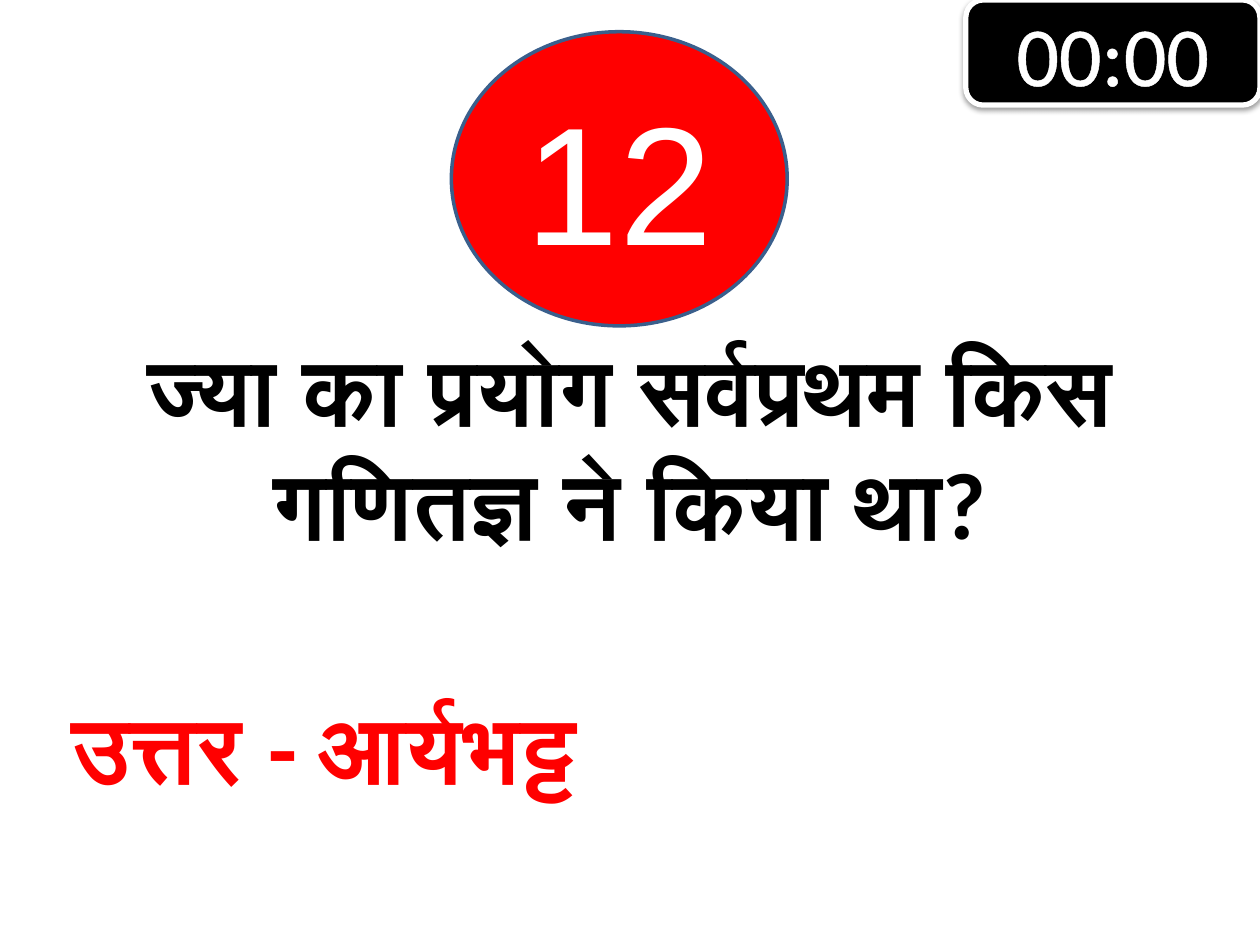
import pptx
import pptx.util
import pptx.dml.color
import pptx.enum.shapes
import pptx.enum.text
import pptx.oxml
import pptx.oxml.ns
import lxml.etree

Cm, Pt = pptx.util.Cm, pptx.util.Pt
Kind = pptx.enum.shapes.MSO_SHAPE
Text = pptx.enum.text
qn = pptx.oxml.ns.qn

WIDE, HIGH = 25.4, 19.05
RED, BLACK, WHITE = "FF0000", "000000", "FFFFFF"

QUERY = ("ज्या का प्रयोग सर्वप्रथम किस गणितज्ञ ने किया था?", (0, 6.55, WIDE, 4.88),
         {"size": Pt(54), "name": "Calibri", "bold": True}, BLACK, 1.42)
REPLY = ("उत्तर - आर्यभट्ट", (0, 13.77, 13.06, 2.57),
         {"size": Pt(54), "name": "Calibri", "bold": True}, RED, 1.42)
BADGE = ("12", (9.1, 0.64, 6.77, 5.93),
         {"size": Pt(96), "name": "Arial"}, WHITE, 0)
TIMER = ("00:00", (WIDE - 5.93, 0, 5.93, 2.12),
         {"size": Pt(48), "name": "Calibri"}, WHITE, 1.45)


def tint(part, hue):
    part.solid()
    part.fore_color.rgb = pptx.dml.color.RGBColor.from_string(hue)


def edge(font, hue, thick):
    line = lxml.etree.Element(qn("a:ln"), w=str(int(Pt(thick))))
    fill = lxml.etree.SubElement(line, qn("a:solidFill"))
    lxml.etree.SubElement(fill, qn("a:srgbClr"), val=hue)
    font._element.insert(0, line)


def write(shape, item, anchor, wrap=True, fit=Text.MSO_AUTO_SIZE.NONE):
    words, box, style, hue, thick = item
    for key, val in zip(("left", "top", "width", "height"), box):
        setattr(shape, key, Cm(val))
    frame = shape.text_frame
    form = {"word_wrap": wrap, "auto_size": fit, "vertical_anchor": anchor}
    for key, val in form.items():
        setattr(frame, key, val)
    para = frame.paragraphs[0]
    para.alignment = Text.PP_ALIGN.CENTER
    run = para.add_run()
    run.text = words
    for key, val in style.items():
        setattr(run.font, key, val)
    tint(run.font.fill, hue)
    if thick:
        edge(run.font, hue, thick)


def block(slide, kind, item, fill, rim, thick):
    shape = slide.shapes.add_shape(kind, 0, 0, 0, 0)
    shape.shadow.inherit = False
    tint(shape.fill, fill)
    tint(shape.line.fill, rim)
    shape.line.width = Pt(thick)
    write(shape, item, Text.MSO_ANCHOR.MIDDLE)
    return shape


def shade(shape):
    glow = shape._element.spPr.find(qn("a:effectLst"))
    drop = lxml.etree.SubElement(glow, qn("a:outerShdw"), blurRad=str(int(Pt(3.1))),
                                 dist=str(int(Pt(1.6))), dir="5400000", rotWithShape="0")
    hue = lxml.etree.SubElement(drop, qn("a:srgbClr"), val=BLACK)
    lxml.etree.SubElement(hue, qn("a:alpha"), val="38000")


def main():
    deck = pptx.Presentation()
    deck.slide_width, deck.slide_height = Cm(WIDE), Cm(HIGH)
    slide = deck.slides.add_slide(deck.slide_layouts[5])
    top, grow = Text.MSO_ANCHOR.TOP, Text.MSO_AUTO_SIZE.SHAPE_TO_FIT_TEXT
    block(slide, Kind.OVAL, BADGE, RED, "3A5F8C", 2)
    shade(block(slide, Kind.ROUNDED_RECTANGLE, TIMER, BLACK, WHITE, 3))
    write(slide.shapes.title, QUERY, top, fit=grow)
    write(slide.shapes.add_textbox(0, 0, 0, 0), REPLY, top, wrap=False, fit=grow)
    deck.save("out.pptx")


if __name__ == "__main__":
    main()
